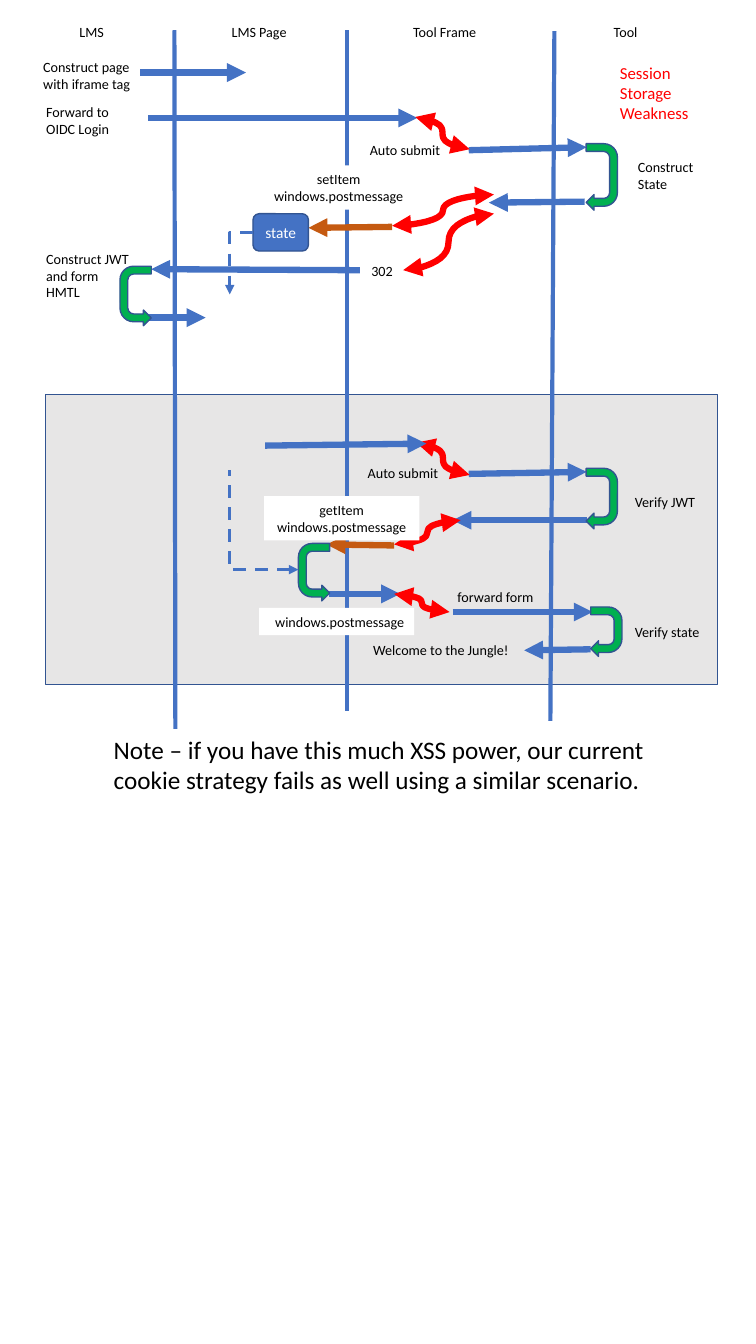
import lxml.etree
import pptx
import pptx.dml.color
import pptx.enum.dml
import pptx.enum.shapes
import pptx.enum.text
import pptx.oxml.ns
import pptx.util

COLORS = {"blue": "4472C4", "outline": "325491", "orange": "C55A11", "red": "FF0000",
          "green": "00B050", "panel": "E7E6E6", "white": "FFFFFF", "black": "000000"}
CONNECTOR = pptx.enum.shapes.MSO_CONNECTOR
PRESET = pptx.enum.shapes.MSO_SHAPE
ALIGN = pptx.enum.text.PP_ALIGN
ANCHOR = pptx.enum.text.MSO_ANCHOR
AUTO_SIZE = pptx.enum.text.MSO_AUTO_SIZE

LIFELINES = [(1.73, 0.3, 1.74, 7.23), (3.44, 0.3, 3.44, 7.05), (5.5, 0.31, 5.46, 7.15)]
HEADINGS = [("LMS", 0.69, 0.45), ("LMS Page", 2.2, 0.76),
            ("Tool Frame", 4, 0.85), ("Tool", 5.99, 0.45)]

# Message arrows: colour and x, y of both ends; red ones are curved and two-headed.
MESSAGES = [
    ("blue", 1.39, 0.72, 2.44, 0.72),
    ("blue", 5.8, 2, 4.85, 2.01),
    ("orange", 3.89, 2.25, 3.06, 2.26),
    ("red", 3.89, 2.24, 4.9, 1.93),
    ("blue", 1.47, 1.17, 4.14, 1.17),
    ("blue", 4.65, 1.49, 5.82, 1.46),
    ("red", 4.12, 1.16, 4.66, 1.48),
    ("blue", 4.65, 4.7, 5.82, 4.68),
    ("red", 4.13, 4.39, 4.66, 4.71),
    ("blue", 3.57, 2.68, 1.5, 2.67),
    ("blue", 2.63, 4.42, 4.23, 4.4),
    ("red", 4, 2.68, 4.9, 2.12),
    ("orange", 3.91, 5.41, 3.24, 5.4),
    ("blue", 3.26, 5.89, 3.97, 5.89),
    ("red", 3.91, 5.89, 4.46, 6.07),
    ("blue", 4.49, 6.07, 5.88, 6.07),
]
REPLIES = [
    ("blue", 5.82, 5.16, 4.49, 5.16),
    ("red", 3.91, 5.4, 4.57, 5.16),
    ("blue", 5.86, 6.44, 5.2, 6.45),
    ("blue", 1.47, 3.15, 2.04, 3.15),
]
# Left, top and length before rotation, and whether the arrow opens to the right.
SELF_CALLS = [(5.64, 1.6, 0.66, False), (1.05, 2.78, 0.59, True), (5.67, 4.79, 0.6, False),
              (5.77, 6.11, 0.49, False), (2.83, 5.52, 0.57, True)]

LABELS = [
    ("Construct page with iframe tag", 0.33, 0.53, 1.09, 0.44),
    ("Forward to OIDC Login", 0.36, 0.98, 1.09, 0.44),
    ("Auto submit", 3.57, 1.35, 1.08, 0.27),
    ("Construct State", 6.23, 1.52, 0.98, 0.44),
    ("Construct JWT and form HMTL", 0.36, 2.43, 1.06, 0.61),
    ("Auto submit", 3.55, 4.56, 1.1, 0.27),
    ("Verify JWT", 6.2, 4.84, 1.03, 0.27),
    ("forward form", 4.44, 5.79, 1.08, 0.27),
    ("Verify state", 6.2, 6.13, 1.18, 0.27),
]
CENTERED_LABELS = [
    ("302", 3.57, 2.55, 0.44, 0.27),
    ("Welcome to the Jungle!", 3.56, 6.31, 1.63, 0.27),
]
STORAGE_CALLS = [
    ("setItem windows.postmessage", 2.59, 1.64, 1.54, 0.44, ALIGN.CENTER),
    ("getItem\nwindows.postmessage", 2.62, 4.92, 1.54, 0.44, ALIGN.CENTER),
    ("windows.postmessage", 2.57, 6.03, 1.54, 0.27, ALIGN.RIGHT),
]
NOTE = ("Note – if you have this much XSS power, our current cookie strategy "
        "fails as well using a similar scenario.")


def lengths(*inches):
    return [pptx.util.Cm(value * 2.54) for value in inches]


def rgb(color):
    return pptx.dml.color.RGBColor.from_string(COLORS[color])


def set_attributes(target, values):
    for name, value in values.items():
        setattr(target, name, value)


def write(shape, text, size=10.1, color="black", align=ALIGN.LEFT, wrap=True,
          anchor=ANCHOR.TOP, auto_size=AUTO_SIZE.SHAPE_TO_FIT_TEXT):
    frame = shape.text_frame
    frame.text = text
    set_attributes(frame, {"word_wrap": wrap, "vertical_anchor": anchor,
                           "auto_size": auto_size})
    for paragraph in frame.paragraphs:
        paragraph.alignment = align
        set_attributes(paragraph.font, {"name": "Calibri", "size": pptx.util.Pt(size)})
        paragraph.font.color.rgb = rgb(color)


def add_label(slide, text, left, top, width, height, **formats):
    shape = slide.shapes.add_textbox(*lengths(left, top, width, height))
    write(shape, text, **formats)


def add_block(slide, preset, left, top, width, height, fill, outlined=True):
    shape = slide.shapes.add_shape(preset, *lengths(left, top, width, height))
    shape.shadow.inherit = False
    shape.fill.solid()
    shape.fill.fore_color.rgb = rgb(fill)
    if outlined:
        shape.line.color.rgb = rgb("outline")
        shape.line.width = pptx.util.Pt(1)
    else:
        shape.line.fill.background()
    return shape


def add_line(shapes, kind, ends, color, width, arrowheads=()):
    """Connect two points; arrowheads names the ends (headEnd, tailEnd) to mark."""
    connector = shapes.add_connector(kind, *lengths(*ends))
    connector.line.color.rgb = rgb(color)
    connector.line.width = pptx.util.Pt(width)
    if kind == CONNECTOR.ELBOW:
        connector.line.dash_style = pptx.enum.dml.MSO_LINE.DASH
        connector._element.spPr.prstGeom.set("prst", "bentConnector2")
    line = connector.line._get_or_add_ln()
    for end in arrowheads:
        lxml.etree.SubElement(line, pptx.oxml.ns.qn(f"a:{end}"), type="triangle")
    lxml.etree.SubElement(connector._element.spPr, pptx.oxml.ns.qn("a:effectLst"))


def add_messages(slide, messages):
    for color, *ends in messages:
        if color == "red":
            kind, arrowheads = CONNECTOR.CURVE, ("headEnd", "tailEnd")
        else:
            kind, arrowheads = CONNECTOR.STRAIGHT, ("tailEnd",)
        add_line(slide.shapes, kind, ends, color, 4.5, arrowheads)


def add_self_call(slide, left, top, length, opens_right):
    shape = add_block(slide, PRESET.U_TURN_ARROW, left, top, length, 0.31, "green")
    for index, value in enumerate((0.25, 0.25, 0.25, 0.438, 1)):
        shape.adjustments[index] = value
    shape.rotation = 270 if opens_right else 90
    if opens_right:
        shape._element.spPr.xfrm.set("flipH", "1")


def add_title(slide, text, left, top, width, height):
    title = slide.shapes.title
    places = lengths(left, top, width, height)
    set_attributes(title, dict(zip(("left", "top", "width", "height"), places)))
    write(title, text, size=12, color="red", wrap=False)


def main():
    presentation = pptx.Presentation()
    presentation.slide_width, presentation.slide_height = lengths(7.5, 13.33)
    slide = presentation.slides.add_slide(presentation.slide_layouts[5])

    add_title(slide, "Session\nStorage\nWeakness", 6.05, 0.57, 0.89, 0.71)
    add_block(slide, PRESET.RECTANGLE, 0.45, 3.91, 6.67, 2.88, "panel")
    lifelines = slide.shapes.add_group_shape()
    for ends in LIFELINES:
        add_line(lifelines.shapes, CONNECTOR.STRAIGHT, ends, "blue", 3)
    for text, left, width in HEADINGS:
        add_label(slide, text, left, 0.18, width, 0.27, wrap=False)

    add_messages(slide, MESSAGES)
    add_messages(slide, REPLIES)
    for text, *box, align in STORAGE_CALLS:
        shape = add_block(slide, PRESET.RECTANGLE, *box, "white", outlined=False)
        write(shape, text, align=align)
    for self_call in SELF_CALLS:
        add_self_call(slide, *self_call)

    state = add_block(slide, PRESET.ROUNDED_RECTANGLE, 2.51, 2.12, 0.55, 0.37, "blue")
    write(state, "state", size=11, color="white", align=ALIGN.CENTER,
          anchor=ANCHOR.MIDDLE, auto_size=AUTO_SIZE.NONE)
    add_line(slide.shapes, CONNECTOR.ELBOW, (2.51, 2.31, 2.28, 2.92), "blue", 2.25, ("tailEnd",))
    add_line(slide.shapes, CONNECTOR.ELBOW, (2.96, 5.65, 2.28, 4.66), "blue", 2.25, ("headEnd",))

    for label in LABELS:
        add_label(slide, *label)
    for label in CENTERED_LABELS:
        add_label(slide, *label, align=ALIGN.CENTER)
    add_label(slide, NOTE, 1.03, 7.23, 5.5, 0.71, size=18)
    presentation.save("out.pptx")


if __name__ == "__main__":
    main()
